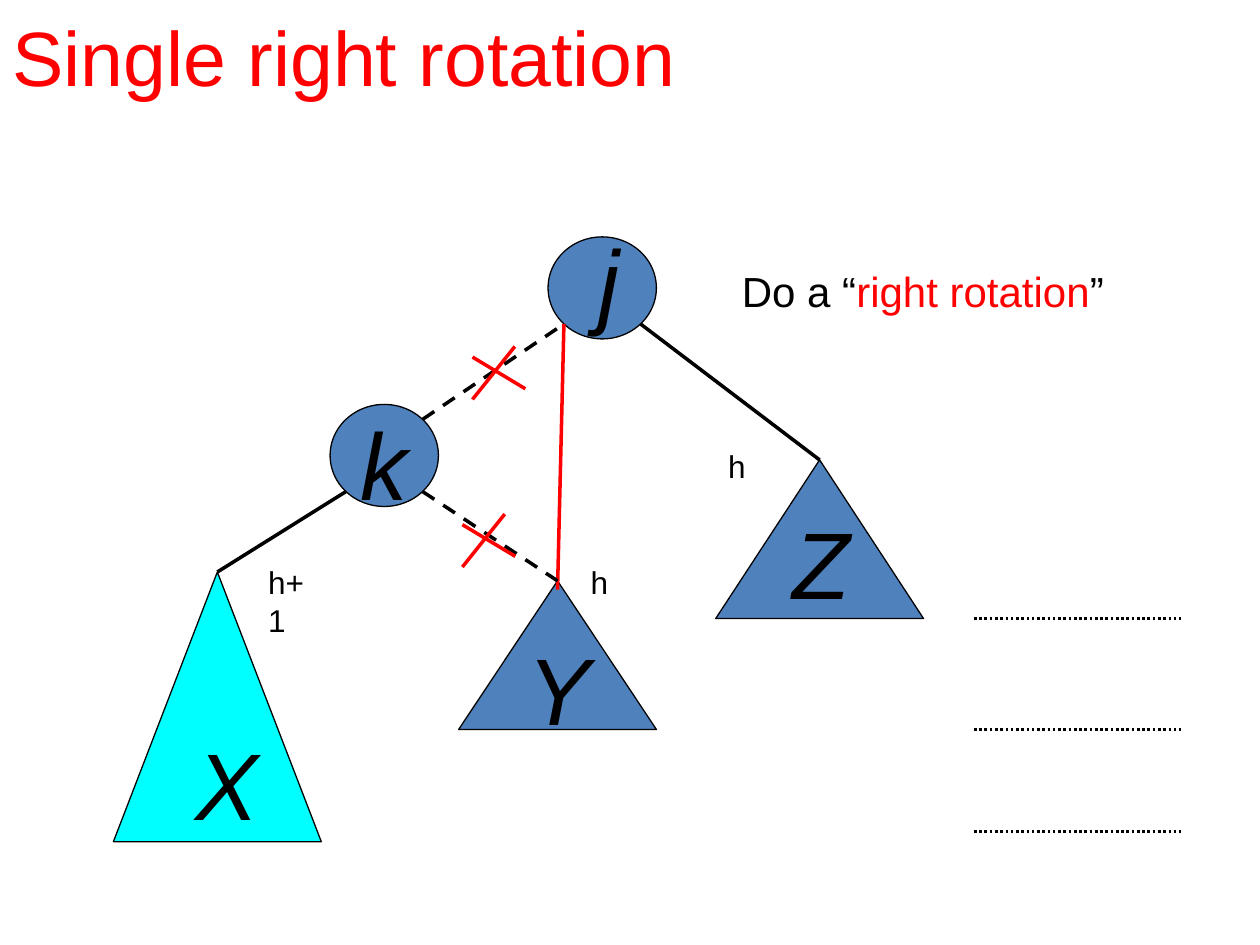
import collections
import math

import pptx
import pptx.dml.color
import pptx.enum.dml
import pptx.enum.shapes
import pptx.enum.text
import pptx.oxml.ns
import pptx.util
from lxml import etree

SLIDE_WIDTH = pptx.util.Inches(10)
SLIDE_HEIGHT = pptx.util.Inches(7.5)
COLUMN = SLIDE_WIDTH / 10
ROW = SLIDE_HEIGHT / 7.5
COLORS = {"ink": "000000", "accent": "FF0000", "node": "4F81BD", "tall": "00FFFF"}
FONT = "Arial"
SHAPES = pptx.enum.shapes.MSO_SHAPE
DASHES = pptx.enum.dml.MSO_LINE

Box = collections.namedtuple("Box", "left top width height")


def color(name):
    """Return a named palette colour."""
    return pptx.dml.color.RGBColor.from_string(COLORS[name])


def within(box, left, top, width, height):
    """Return a box whose place is counted from the corner of another."""
    return Box(box.left + left, box.top + top, width, height)


def to_lengths(box):
    """Turn columns and rows into slide lengths."""
    return (round(box.left * COLUMN), round(box.top * ROW),
            round(box.width * COLUMN), round(box.height * ROW))


def add_text(page, box, spans, size, italic=False, wrap=True, inset=0.05):
    """Write one paragraph made of (text, colour name) spans."""
    shape = page.shapes.add_textbox(*to_lengths(box))
    frame = shape.text_frame
    frame.word_wrap = wrap
    frame.margin_top = pptx.util.Inches(inset)
    for text, tone in spans:
        span = frame.paragraphs[0].add_run()
        span.text = text
        span.font.name = FONT
        span.font.size = pptx.util.Pt(size)
        span.font.italic = italic
        span.font.color.rgb = color(tone)
    return frame


def add_shape(page, box, preset, fill):
    """Draw a filled, thinly outlined preset shape."""
    shape = page.shapes.add_shape(preset, *to_lengths(box))
    shape.shadow.inherit = False
    shape.fill.solid()
    shape.fill.fore_color.rgb = color(fill)
    shape.line.color.rgb = color("ink")
    shape.line.width = pptx.util.Pt(0.75)


def add_line(page, start, end, tone="ink", width=2, dash=None):
    """Draw a straight line between two grid points."""
    line = page.shapes.add_connector(
        pptx.enum.shapes.MSO_CONNECTOR.STRAIGHT,
        round(start[0] * COLUMN), round(start[1] * ROW),
        round(end[0] * COLUMN), round(end[1] * ROW))
    line.line.color.rgb = color(tone)
    line.line.width = pptx.util.Pt(width)
    if dash is not None:
        line.line.dash_style = dash
    etree.SubElement(line._element.spPr, pptx.oxml.ns.qn("a:effectLst"))


def rim(circle, across, down):
    """Return the diagonal rim point of a circle towards the given signs."""
    reach = math.sqrt(0.5)
    return (circle.left + circle.width / 2 * (1 + across * reach),
            circle.top + circle.height / 2 * (1 + down * reach))


def apex(triangle):
    """Return the top corner of a triangle."""
    return triangle.left + triangle.width / 2, triangle.top


def add_cross(page, box):
    """Strike out an edge with two red strokes."""
    right, bottom = box.left + box.width, box.top + box.height
    add_line(page, (box.left, box.top + box.height * 0.2),
             (right, box.top + box.height * 0.8), "accent")
    add_line(page, (box.left + box.width * 0.8, box.top), (box.left, bottom), "accent")


def add_tree(page, box):
    """Draw the tree before rotation with its removed and added edges."""
    node_j = within(box, 3.45, 0, 0.86, 0.81)
    node_k = within(box, 1.72, 1.33, 0.86, 0.81)
    tree_x = within(box, 0, 2.66, 1.65, 2.14)
    tree_y = within(box, 2.74, 2.73, 1.57, 1.18)
    tree_z = within(box, 4.78, 1.77, 1.65, 1.26)
    parts = [
        ("j", node_j, SHAPES.OVAL, "node", 0.3, -0.23),
        ("k", node_k, SHAPES.OVAL, "node", 0.14, -0.11),
        ("X", tree_x, SHAPES.ISOSCELES_TRIANGLE, "tall", 0.55, 1.1),
        ("Y", tree_y, SHAPES.ISOSCELES_TRIANGLE, "node", 0.45, 0.28),
        ("Z", tree_z, SHAPES.ISOSCELES_TRIANGLE, "node", 0.51, 0.24),
    ]
    for name, place, preset, fill, left, top in parts:
        add_shape(page, place, preset, fill)
        add_text(page, within(place, left, top, 0.53, 1), [(name, "ink")], 54,
                 italic=True, inset=0.12)

    y_top = apex(tree_y)
    add_line(page, rim(node_k, -1, 1), apex(tree_x))
    add_line(page, rim(node_j, 1, 1), apex(tree_z))
    add_line(page, rim(node_j, -1, 1), (y_top[0], y_top[1] + 0.07), "accent")
    add_line(page, rim(node_k, 1, -1), rim(node_j, -1, 1), dash=DASHES.DASH)
    add_line(page, rim(node_k, 1, 1), y_top, dash=DASHES.DASH)
    for left, top in [(2.85, 0.87), (2.77, 2.2)]:
        add_cross(page, within(box, left, top, 0.42, 0.42))

    for text, left, top, width in [("h", 4.78, 1.62, 0.34), ("h+1", 1.13, 2.54, 0.62),
                                   ("h", 3.69, 2.54, 0.34)]:
        add_text(page, within(box, left, top, width, 0.4), [(text, "ink")], 18, wrap=False)


def add_levels(page, box):
    """Draw the dotted depth marks beside the tree."""
    for share in (0, 0.52, 1):
        level = box.top + box.height * share
        add_line(page, (box.left, level), (box.left + box.width, level),
                 width=1.5, dash=DASHES.ROUND_DOT)


def add_note(page, box):
    """Write the instruction beside the tree."""
    spans = [("Do a “", "ink"), ("right rotation", "accent"), ("”", "ink")]
    add_text(page, box, spans, 24, wrap=False)


def add_title(page, box):
    """Write the slide title."""
    frame = add_text(page, box, [("Single right rotation", "accent")], 44)
    frame.vertical_anchor = pptx.enum.text.MSO_ANCHOR.MIDDLE


def main():
    """Build and save the slide."""
    deck = pptx.Presentation()
    deck.slide_width, deck.slide_height = SLIDE_WIDTH, SLIDE_HEIGHT
    page = deck.slides.add_slide(deck.slide_layouts[6])
    add_title(page, Box(0, 0, 8.55, 0.88))
    add_tree(page, Box(0.9, 1.88, 6.43, 4.8))
    add_levels(page, Box(7.73, 4.91, 1.64, 1.69))
    add_note(page, Box(5.79, 2.06, 3.07, 0.5))
    deck.save("out.pptx")


if __name__ == "__main__":
    main()
